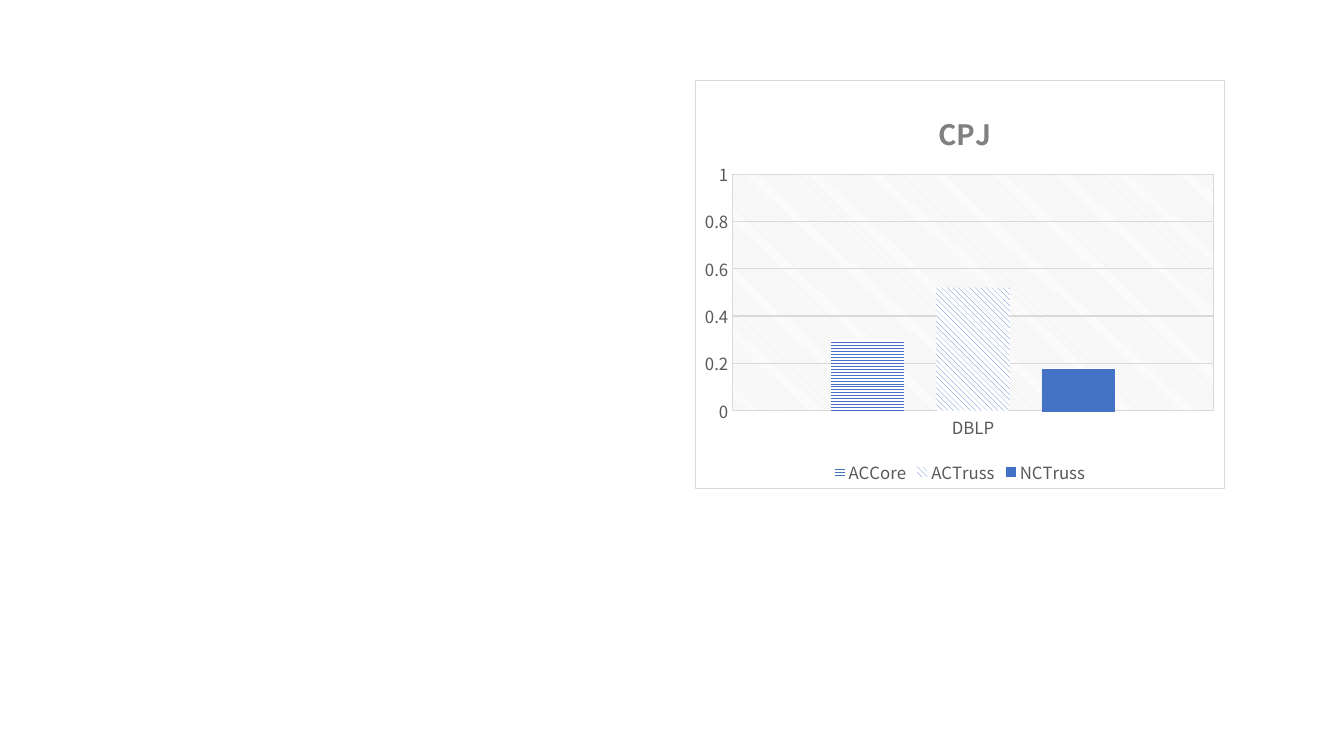
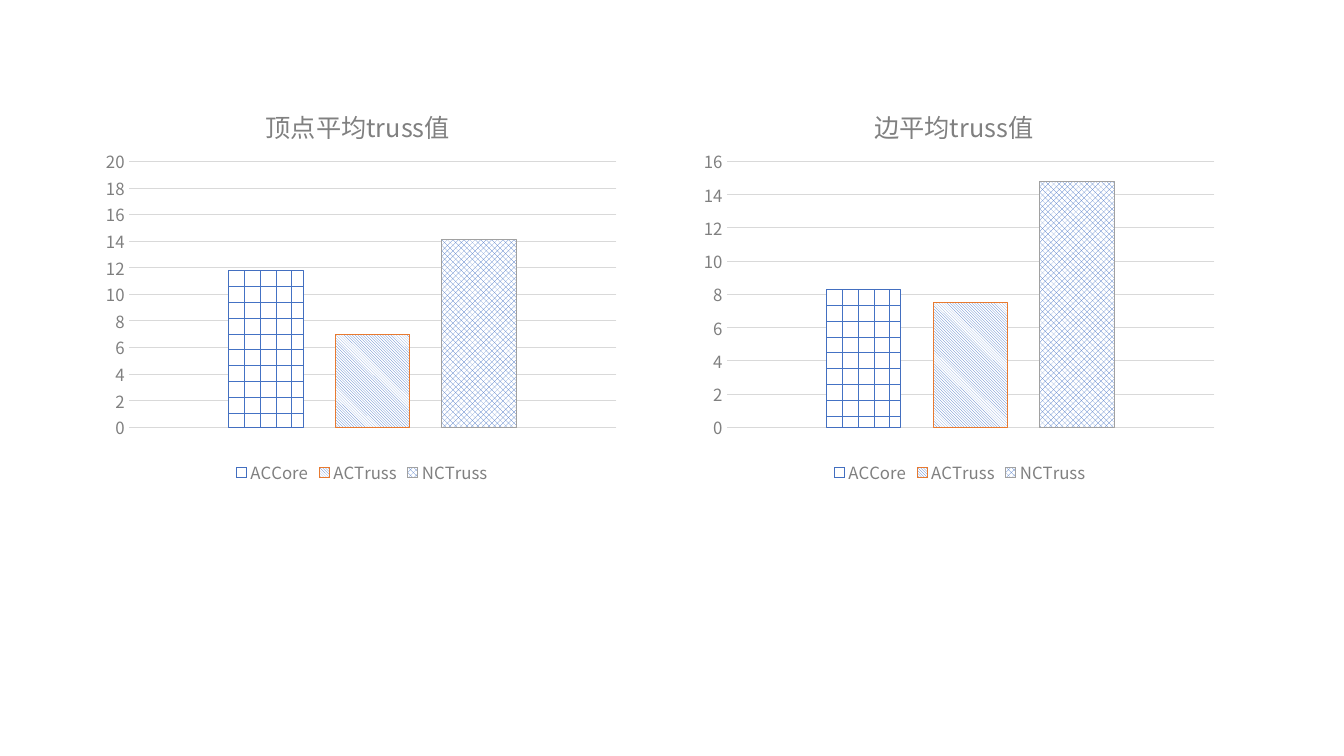
from pptx import Presentation
from pptx.chart.data import CategoryChartData
from pptx.dml.color import RGBColor
from pptx.enum.chart import XL_CHART_TYPE, XL_LEGEND_POSITION, XL_TICK_MARK
from pptx.enum.dml import MSO_PATTERN
from pptx.oxml import parse_xml
from pptx.oxml.ns import nsdecls, qn
from pptx.util import Inches, Pt

# Shared look
FONT = "Noto Sans CJK SC"
COLORS = {
    "paper": "FFFFFF", "grid": "D9D9D9", "bar": "4472C4",
    "title": "808080", "dark": "595959", "light": "808080",
    "blue": "436FC0", "orange": "E87A30", "gray": "A1A1A1",
}
SERIES = ["ACCore", "ACTruss", "NCTruss"]
LEFT, RIGHT, TOP = 0.96, 6.89, 0.79
WIDTH, HEIGHT = 5.26, 4.06

# Chart styles; layouts are shares of the chart's width and height
FRAMED = {
    "patterns": [MSO_PATTERN.ZIG_ZAG, MSO_PATTERN.WIDE_DOWNWARD_DIAGONAL,
                 MSO_PATTERN.DARK_HORIZONTAL],
    "outlines": [None] * 3, "framed": True, "text": "dark",
    "title_font": {"size": Pt(20), "bold": True},
    "plot": {"x": 0.07, "y": 0.23, "w": 0.91, "h": 0.58},
}
OPEN = {
    "patterns": [MSO_PATTERN.DOTTED_GRID, MSO_PATTERN.LIGHT_DOWNWARD_DIAGONAL,
                 MSO_PATTERN.OUTLINED_DIAMOND],
    "outlines": ["blue", "orange", "gray"], "framed": False, "text": "light",
    "title_font": {"size": Pt(18), "bold": False},
    "plot": {"x": 0.06, "y": 0.2, "w": 0.92, "h": 0.65},
}

# One list of charts per slide
SLIDES = [
    [{"title": "CPJ", "title_at": {"x": 0.45, "y": 0.06}, "left": RIGHT,
      "category": "DBLP", "values": [0.3, 0.52, 0.18],
      "max": 1, "step": 0.2, "style": FRAMED}],
    [{"title": "顶点平均truss值", "title_at": {"x": 0.31, "y": 0.05}, "left": LEFT,
      "category": "1", "values": [11.8, 7, 14.1],
      "max": 20, "step": 2, "style": OPEN},
     {"title": "边平均truss值", "title_at": {"x": 0.33, "y": 0.05}, "left": RIGHT,
      "category": "1", "values": [8.3, 7.5, 14.8],
      "max": 16, "step": 2, "style": OPEN}],
]


def set_font(font, color, **formats):
    for name, value in {"name": FONT, "size": Pt(12), "bold": False, **formats}.items():
        setattr(font, name, value)
    font.color.rgb = RGBColor.from_string(COLORS[color])


def layout_xml(shares, inner=False):
    target = '<c:layoutTarget val="inner"/>' if inner else ""
    modes = "".join(f'<c:{k}Mode val="edge"/>' for k in "xy")
    sizes = "".join(f'<c:{k} val="{v}"/>' for k, v in shares.items())
    return parse_xml(f'<c:layout {nsdecls("c")}><c:manualLayout>{target}{modes}{sizes}'
                     '</c:manualLayout></c:layout>')


prs = Presentation()
prs.slide_width, prs.slide_height = Inches(13.33), Inches(7.5)
grid_rgb = RGBColor.from_string(COLORS["grid"])
paper_rgb = RGBColor.from_string(COLORS["paper"])

for charts in SLIDES:
    s = prs.slides.add_slide(prs.slide_layouts[6])
    s.background.fill.solid()
    s.background.fill.fore_color.rgb = paper_rgb

    for item in charts:
        style = item["style"]
        data = CategoryChartData()
        data.categories = [item["category"]]
        for name, value in zip(SERIES, item["values"]):
            data.add_series(name, [value])
        chart = s.shapes.add_chart(
            XL_CHART_TYPE.COLUMN_CLUSTERED, Inches(item["left"]), Inches(TOP),
            Inches(WIDTH), Inches(HEIGHT), data).chart
        set_font(chart.font, style["text"], size=Pt(10))

        # Title
        tf = chart.chart_title.text_frame
        r = tf.paragraphs[0].add_run()
        r.text = item["title"]
        set_font(r.font, "title", **style["title_font"])
        r.font._element.find(qn("a:latin")).addnext(
            parse_xml(f'<a:ea {nsdecls("a")} typeface="{FONT}"/>'))
        title = chart._chartSpace.chart.find(qn("c:title"))
        for old in title.findall(qn("c:layout")):
            title.remove(old)
        title.find(qn("c:tx")).addnext(layout_xml(item["title_at"]))
        chart.chart_title.include_in_layout = False

        # Axes
        val, cat = chart.value_axis, chart.category_axis
        for name, value in {"minimum_scale": 0, "maximum_scale": item["max"],
                            "major_unit": item["step"]}.items():
            setattr(val, name, value)
        val.format.line.fill.background()
        cat.visible = cat.has_major_gridlines = style["framed"]
        cat.format.line.color.rgb = grid_rgb
        cat.format.line.width = Pt(0.75)
        for axis in (val, cat):
            axis.major_tick_mark = axis.minor_tick_mark = XL_TICK_MARK.NONE
            set_font(axis.tick_labels.font, style["text"])
            if axis.has_major_gridlines:
                line = axis.major_gridlines.format.line
                line.color.rgb, line.width = grid_rgb, Pt(0.75)

        # Legend
        chart.has_legend = True
        chart.legend.position = XL_LEGEND_POSITION.BOTTOM
        chart.legend.include_in_layout = False
        set_font(chart.legend.font, style["text"])

        # Columns
        plot = chart.plots[0]
        plot.gap_width, plot.overlap, plot.vary_by_categories = 267, -43, False
        for series, pattern, outline in zip(plot.series, style["patterns"], style["outlines"]):
            fill, line = series.format.fill, series.format.line
            fill.patterned()
            fill.pattern = pattern
            fill.fore_color.rgb = RGBColor.from_string(COLORS["bar"])
            fill.back_color.rgb = paper_rgb
            if outline:
                line.color.rgb, line.width = RGBColor.from_string(COLORS[outline]), Pt(0.75)
            else:
                line.fill.background()

        # Plot area and frame
        area = chart._chartSpace.chart.plotArea
        for old in area.findall(qn("c:layout")):
            area.remove(old)
        area.insert(0, layout_xml(style["plot"], inner=True))
        paper, gray = (f'<a:srgbClr val="{COLORS[k]}"/>' for k in ("paper", "grid"))
        if style["framed"]:
            border = f'<a:ln w="{Pt(0.75)}"><a:solidFill>{gray}</a:solidFill></a:ln>'
            plot_fill = (f'<a:pattFill prst="ltDnDiag"><a:fgClr>{gray}</a:fgClr>'
                         f'<a:bgClr>{paper}</a:bgClr></a:pattFill>')
            chart_fill = f'<a:solidFill>{paper}</a:solidFill>'
        else:
            border = '<a:ln><a:noFill/></a:ln>'
            plot_fill = chart_fill = '<a:noFill/>'
        plot_pr, chart_pr = (parse_xml(f'<c:spPr {nsdecls("c", "a")}>{f}{border}</c:spPr>')
                             for f in (plot_fill, chart_fill))
        area.append(plot_pr)
        chart._chartSpace.chart.addnext(chart_pr)

prs.save("out.pptx")
